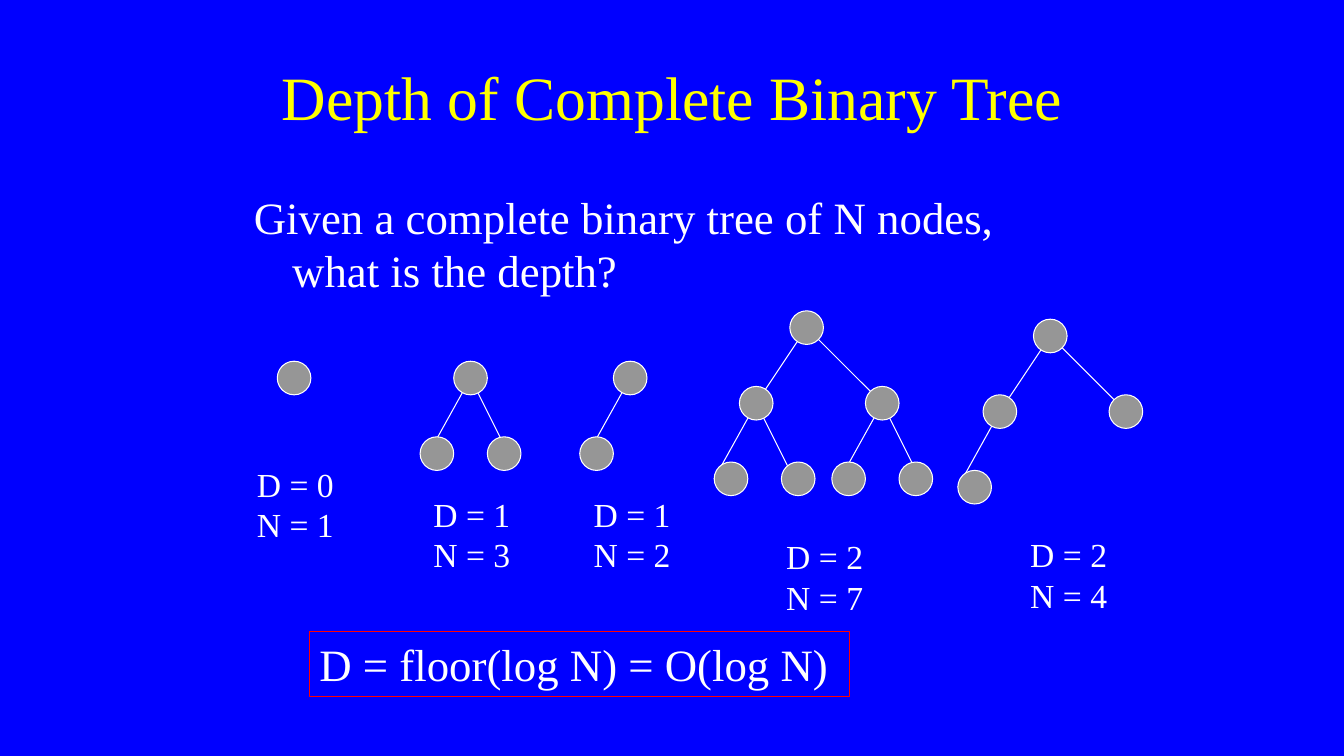
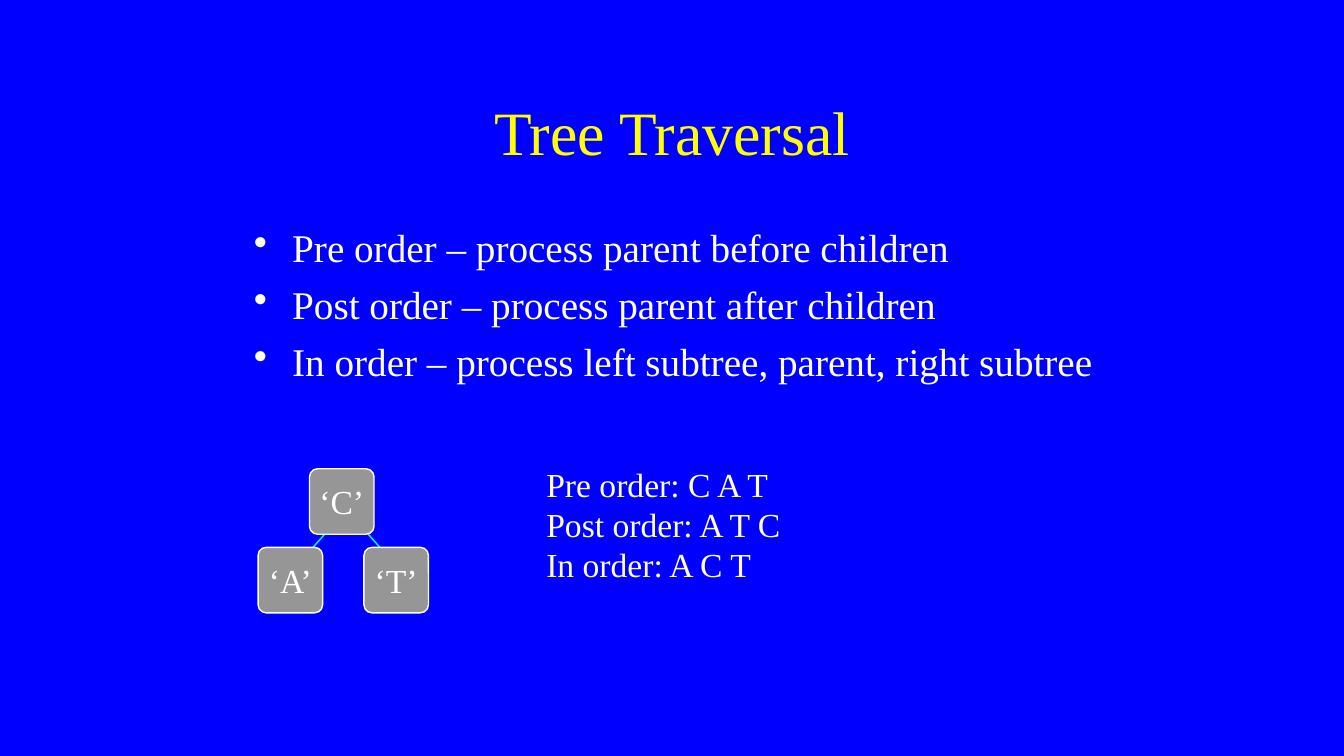
from dataclasses import dataclass

import pptx
import pptx.dml.color
import pptx.enum.shapes
import pptx.enum.text
import pptx.oxml.ns
import pptx.util
from lxml import etree
from pptx.util import Inches

Color = pptx.dml.color.RGBColor
Align = pptx.enum.text.PP_ALIGN
Anchor = pptx.enum.text.MSO_ANCHOR
Preset = pptx.enum.shapes.MSO_SHAPE


@dataclass(frozen=True)
class Theme:
    font: str = "Times New Roman"
    background: Color = Color(0x00, 0x00, 0xFF)
    title: Color = Color(0xFF, 0xFF, 0x00)
    text: Color = Color(0xFF, 0xFF, 0xFF)
    node: Color = Color(0x96, 0x96, 0x96)
    link: Color = Color(0x00, 0xFF, 0xFF)
    frame: Color = Color(0xFF, 0x00, 0x00)
    title_size: float = 44
    question_size: float = 32
    bullet_size: float = 28
    label_size: float = 24
    thin: float = 0.75
    medium: float = 1


THEME = Theme()
GRID = 1 / 12  # inches per step of the tree drawings
NODE_SIZE = 4  # grid steps


@dataclass(frozen=True)
class Branch:
    """A child and the line leading to it, in grid steps from the root's centre."""
    child: tuple[int, int]
    start: tuple[int, int]
    end: tuple[int, int]


@dataclass(frozen=True)
class Tree:
    root: tuple[int, int]
    branches: tuple[Branch, ...]
    caption_at: tuple[float, float]
    depth: int
    count: int


@dataclass(frozen=True)
class LetterNode:
    letter: str
    left: float
    top: float


LEFT_LEAF = Branch((-4, 9), (0, 0), (-5, 9))
RIGHT_LEAF = Branch((4, 9), (0, 0), (5, 10))
LEFT_INNER = Branch((-6, 9), (0, 0), (-6, 9))
RIGHT_INNER = Branch((9, 9), (1, 1), (10, 10))
FAR_LEFT = Branch((-9, 18), (-6, 9), (-11, 18))
MIDDLE_LEFT = Branch((-1, 18), (-6, 9), (-1, 19))
MIDDLE_RIGHT = Branch((5, 18), (9, 9), (4, 18))
FAR_RIGHT = Branch((13, 18), (9, 9), (14, 19))

TREES = (
    Tree((35, 45), (), (2.45, 4.55), 0, 1),
    Tree((56, 45), (LEFT_LEAF, RIGHT_LEAF), (4.2, 4.85), 1, 3),
    Tree((75, 45), (LEFT_LEAF,), (5.79, 4.85), 1, 2),
    Tree((96, 39), (LEFT_INNER, RIGHT_INNER, FAR_LEFT, MIDDLE_LEFT,
                    MIDDLE_RIGHT, FAR_RIGHT), (7.7, 5.27), 2, 7),
    Tree((125, 40), (LEFT_INNER, RIGHT_INNER, FAR_LEFT), (10.12, 5.25), 2, 4),
)
LETTER_NODES = (
    LetterNode("‘T’", 3.61, 5.43),
    LetterNode("‘C’", 3.07, 4.65),
    LetterNode("‘A’", 2.56, 5.43),
)
LETTER_LINKS = (((3.44, 5.06), (4.06, 5.76)), ((3.61, 4.86), (2.99, 5.56)))


def write_text(frame, *lines: str, size: float = THEME.label_size,
               color: Color = THEME.text, align=Align.LEFT, anchor=Anchor.TOP,
               wrap: bool = False, hanging: float = 0, bullet: str = "",
               space_before: float = 0) -> None:
    frame.word_wrap = wrap
    frame.auto_size = pptx.enum.text.MSO_AUTO_SIZE.NONE
    frame.vertical_anchor = anchor
    for index, line in enumerate(lines):
        para = frame.add_paragraph() if index else frame.paragraphs[0]
        para.alignment = align
        if index:
            para.space_before = pptx.util.Pt(space_before)
        properties = para._p.get_or_add_pPr()
        if hanging:
            properties.set("marL", str(Inches(hanging)))
            properties.set("indent", str(-Inches(hanging)))
        if bullet:
            mark = etree.SubElement(properties, pptx.oxml.ns.qn("a:buChar"))
            mark.set("char", bullet)
        span = para.add_run()
        span.text = line
        span.font.name = THEME.font
        span.font.size = pptx.util.Pt(size)
        span.font.color.rgb = color


def add_text(page, left: float, top: float, width: float, height: float,
             *lines: str, **style):
    box = page.shapes.add_textbox(
        Inches(left), Inches(top), Inches(width), Inches(height))
    write_text(box.text_frame, *lines, **style)
    return box


def add_line(page, start: tuple[float, float], end: tuple[float, float],
             color: Color, weight: float) -> None:
    line = page.shapes.add_connector(
        pptx.enum.shapes.MSO_CONNECTOR.STRAIGHT,
        *(Inches(value) for value in (*start, *end)))
    line.line.color.rgb = color
    line.line.width = pptx.util.Pt(weight)
    etree.SubElement(line._element.spPr, pptx.oxml.ns.qn("a:effectLst"))


def add_node(page, preset, left: float, top: float, width: float,
             height: float, weight: float):
    node = page.shapes.add_shape(
        preset, Inches(left), Inches(top), Inches(width), Inches(height))
    node.shadow.inherit = False
    node.fill.solid()
    node.fill.fore_color.rgb = THEME.node
    node.line.color.rgb = THEME.text
    node.line.width = pptx.util.Pt(weight)
    return node


def add_page(deck, title: str, left: float, top: float, width: float):
    page = deck.slides.add_slide(deck.slide_layouts.get_by_name("Title Only"))
    heading = page.shapes.title
    heading.left, heading.top = Inches(left), Inches(top)
    heading.width, heading.height = Inches(width), Inches(1.25)
    write_text(heading.text_frame, title, size=THEME.title_size,
               color=THEME.title, align=Align.CENTER, anchor=Anchor.MIDDLE,
               wrap=True)
    return page


def draw_tree(page, tree: Tree) -> None:
    def place(offset: tuple[int, int]) -> tuple[float, float]:
        return ((tree.root[0] + offset[0]) * GRID,
                (tree.root[1] + offset[1]) * GRID)

    for branch in tree.branches:
        add_line(page, place(branch.start), place(branch.end),
                 THEME.text, THEME.thin)
    size = NODE_SIZE * GRID
    for offset in ((0, 0), *(branch.child for branch in tree.branches)):
        x, y = place(offset)
        add_node(page, Preset.OVAL, x - size / 2, y - size / 2, size, size,
                 THEME.thin)
    add_text(page, *tree.caption_at, 0.97, 0.91,
             f"D = {tree.depth}", f"N = {tree.count}")


def add_depth_page(deck) -> None:
    page = add_page(deck, "Depth of Complete Binary Tree", 2.42, 0.33, 8.5)
    add_text(page, 2.42, 1.83, 8.5, 1.2,
             "Given a complete binary tree of N nodes, what is the depth?",
             size=THEME.question_size, wrap=True, hanging=0.38)
    for tree in TREES:
        draw_tree(page, tree)
    formula = add_text(page, 3.07, 6.27, 5.36, 0.64,
                       "D = floor(log N) = O(log N)",
                       size=THEME.question_size, wrap=True)
    formula.line.color.rgb = THEME.frame
    formula.line.width = pptx.util.Pt(THEME.thin)


def add_traversal_page(deck) -> None:
    page = add_page(deck, "Tree Traversal", 1, 0.67, 11.33)
    add_text(page, 2.42, 2.17, 8.83, 2,
             "Pre order – process parent before children",
             "Post order – process parent after children",
             "In order – process left subtree, parent, right subtree",
             size=THEME.bullet_size, wrap=True, hanging=0.38, bullet="•",
             space_before=7)
    for start, end in LETTER_LINKS:
        add_line(page, start, end, THEME.link, THEME.medium)
    for item in LETTER_NODES:
        node = add_node(page, Preset.ROUNDED_RECTANGLE, item.left, item.top,
                        0.64, 0.65, THEME.medium)
        node.adjustments[0] = 0.125
        write_text(node.text_frame, item.letter, align=Align.CENTER,
                   anchor=Anchor.MIDDLE)
    add_text(page, 5.32, 4.55, 2.55, 1.31, "Pre order: C A T",
             "Post order: A T C", "In order: A C T")


def main() -> None:
    deck = pptx.Presentation()
    deck.slide_width, deck.slide_height = Inches(13.33), Inches(7.5)
    backdrop = deck.slide_master.background.fill
    backdrop.solid()
    backdrop.fore_color.rgb = THEME.background
    add_depth_page(deck)
    add_traversal_page(deck)
    deck.save("out.pptx")


if __name__ == "__main__":
    main()
